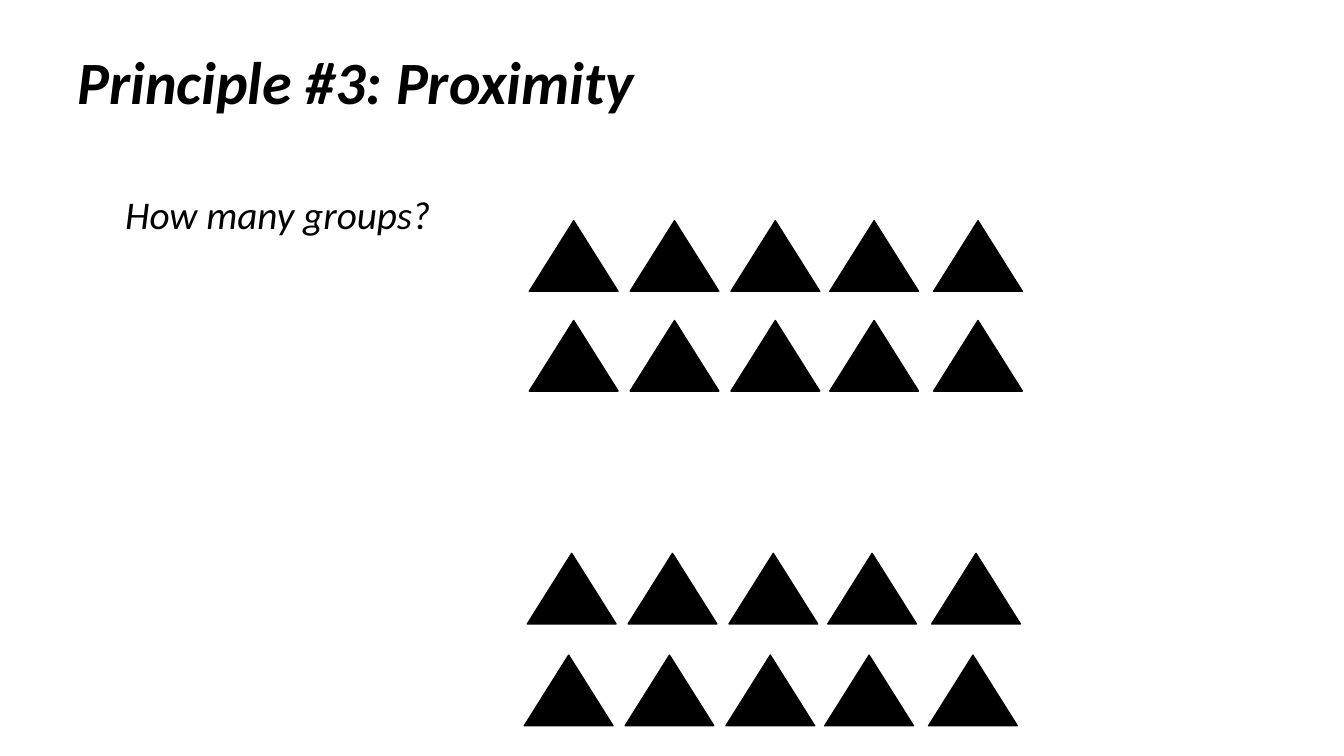
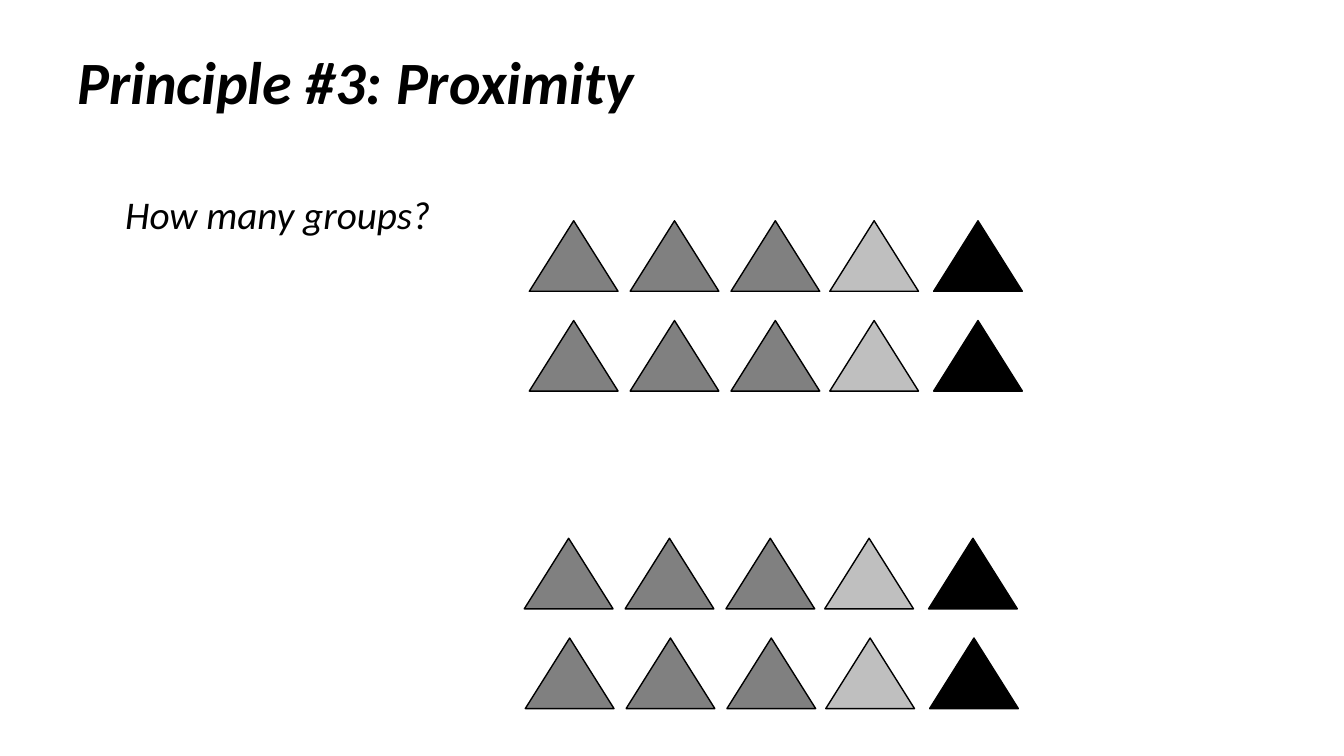
import pptx
import pptx.dml.color
import pptx.enum.shapes
import pptx.enum.text
import pptx.util

PX = 9144  # EMU per px, 100 px to the inch
BLACK, GREY, SILVER = "000000", "808080", "BFBFBF"
TITLE = {"name": "Calibri", "size": pptx.util.Pt(42.9), "bold": True, "italic": True}
QUESTION = {"name": "Calibri", "size": pptx.util.Pt(28), "italic": True}

TRIANGLE_SIZE = (88, 70)
COLUMNS = (0, 100, 200, 298, 401)


def color(value):
    return pptx.dml.color.RGBColor.from_string(value)


def px(*lengths):
    return [n * PX for n in lengths]


class Deck:
    def __init__(self):
        self.prs = pptx.Presentation()
        self.prs.slide_width, self.prs.slide_height = px(1333, 750)
        self.s = None

    def slide(self):
        self.s = self.prs.slides.add_slide(self.prs.slide_layouts[6])

    def text(self, text, box, font, frame, paragraph):
        """Add a one-paragraph text box; the last three arguments are format values."""
        tf = self.s.shapes.add_textbox(*px(*box)).text_frame
        tf.word_wrap = True
        p = tf.paragraphs[0]
        r = p.add_run()
        r.text = text
        for target, values in ((tf, frame), (p, paragraph), (r.font, font)):
            for name, value in values.items():
                setattr(target, name, value)
        r.font.color.rgb = color(BLACK)

    def title(self, text):
        self.text(text, (67, 21, 909, 100), TITLE,
                  {"vertical_anchor": pptx.enum.text.MSO_ANCHOR.BOTTOM},
                  {"line_spacing": 0.9})

    def question(self, text):
        self.text(text, (110, 184, 331, 57), QUESTION,
                  {"auto_size": pptx.enum.text.MSO_AUTO_SIZE.SHAPE_TO_FIT_TEXT},
                  {"alignment": pptx.enum.text.PP_ALIGN.CENTER})

    def triangle_row(self, left, top, fills):
        """Add one grouped row of triangles, a fill for each column."""
        group = self.s.shapes.add_group_shape()
        for column, fill in zip(COLUMNS, fills):
            sp = group.shapes.add_shape(
                pptx.enum.shapes.MSO_SHAPE.ISOSCELES_TRIANGLE,
                *px(left + column, top, *TRIANGLE_SIZE))
            sp.shadow.inherit = False
            sp.fill.solid()
            sp.fill.fore_color.rgb = color(fill)
            sp.line.color.rgb = color(BLACK)
            sp.line.width = pptx.util.Pt(1)


def main():
    upper_rows = [(525, 219), (525, 318)]
    slides = [
        ([BLACK] * 5, [(523, 549), (520, 650)]),
        ([GREY] * 3 + [SILVER, BLACK], [(520, 534), (521, 633)]),
    ]
    deck = Deck()
    for fills, lower_rows in slides:
        deck.slide()
        deck.title("Principle #3: Proximity")
        deck.question("How many groups?")
        for left, top in upper_rows + lower_rows:
            deck.triangle_row(left, top, fills)
    deck.prs.save("out.pptx")


if __name__ == "__main__":
    main()
